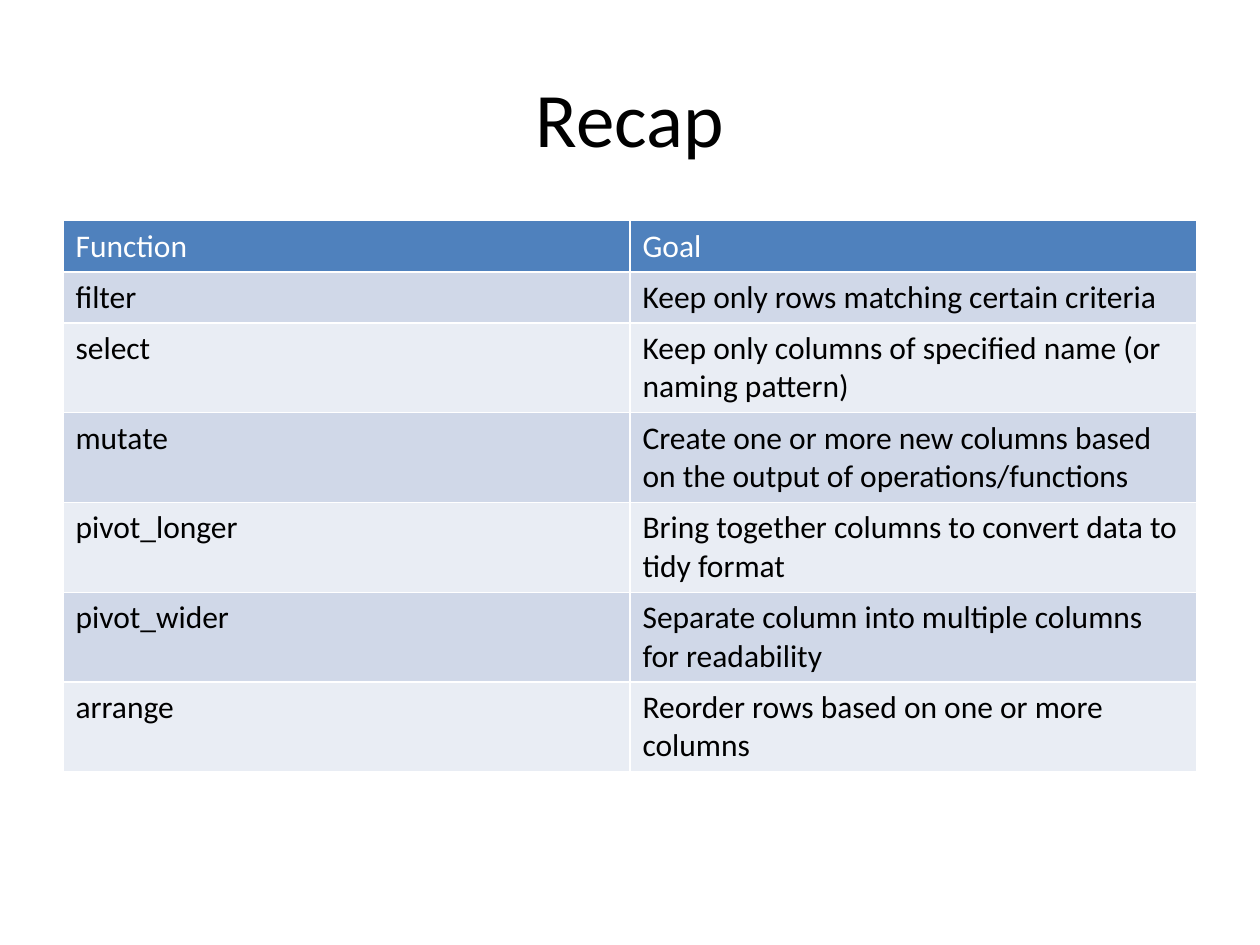
from lxml import etree
from pptx import Presentation
from pptx.dml.color import RGBColor
from pptx.enum import text
from pptx.oxml import ns
from pptx.util import Cm, Pt

FONT = "Calibri"
BLACK = RGBColor(0x00, 0x00, 0x00)
WHITE = RGBColor(0xFF, 0xFF, 0xFF)
HEADER_BLUE = RGBColor(0x4F, 0x81, 0xBD)
BANDS = (RGBColor(0xE9, 0xED, 0xF4), RGBColor(0xD0, 0xD8, 0xE8))

MARGIN = Cm(1.27)
CONTENT_WIDTH = Cm(22.86)
ONE_LINE = Cm(1.03)
TWO_LINES = Cm(1.81)

RECAP = [
    ("Function", "Goal", ONE_LINE),
    ("filter", "Keep only rows matching certain criteria", ONE_LINE),
    ("select", "Keep only columns of specified name (or naming pattern)", TWO_LINES),
    ("mutate", "Create one or more new columns based on the output of operations/functions", TWO_LINES),
    ("pivot_longer", "Bring together columns to convert data to tidy format", TWO_LINES),
    ("pivot_wider", "Separate column into multiple columns for readability", TWO_LINES),
    ("arrange", "Reorder rows based on one or more columns", TWO_LINES),
]


def write(frame, wording, size=18, color=BLACK, align=text.PP_ALIGN.LEFT):
    paragraph = frame.paragraphs[0]
    paragraph.alignment = align
    run = paragraph.add_run()
    run.text = wording
    run.font.name = FONT
    run.font.size = Pt(size)
    run.font.bold = False
    run.font.color.rgb = color


def add_title(slide, wording):
    title = slide.shapes.add_textbox(MARGIN, Cm(0.76), CONTENT_WIDTH, Cm(3.18))
    frame = title.text_frame
    frame.word_wrap = True
    frame.vertical_anchor = text.MSO_ANCHOR.MIDDLE
    write(frame, wording, size=44, align=text.PP_ALIGN.CENTER)


def set_borders(cell, color, width):
    properties = cell._tc.get_or_add_tcPr()
    for position, side in enumerate(("lnL", "lnR", "lnT", "lnB")):
        line = etree.Element(ns.qn(f"a:{side}"), w=str(width))
        fill = etree.SubElement(line, ns.qn("a:solidFill"))
        etree.SubElement(fill, ns.qn("a:srgbClr"), val=str(color))
        properties.insert(position, line)


def add_recap_table(slide, entries):
    height = sum(entry[2] for entry in entries)
    recap = slide.shapes.add_table(
        len(entries), 2, MARGIN, Cm(4.45), CONTENT_WIDTH, height
    ).table
    for index, (function, goal, row_height) in enumerate(entries):
        recap.rows[index].height = row_height
        is_header = index == 0
        for column, wording in enumerate((function, goal)):
            cell = recap.cell(index, column)
            cell.fill.solid()
            cell.fill.fore_color.rgb = HEADER_BLUE if is_header else BANDS[index % 2]
            write(cell.text_frame, wording, color=WHITE if is_header else BLACK)
            set_borders(cell, WHITE, Pt(1))


def main():
    deck = Presentation()
    deck.slide_width = Cm(25.4)
    deck.slide_height = Cm(19.05)
    slide = deck.slides.add_slide(deck.slide_layouts[6])
    add_title(slide, "Recap")
    add_recap_table(slide, RECAP)
    deck.save("out.pptx")


main()
